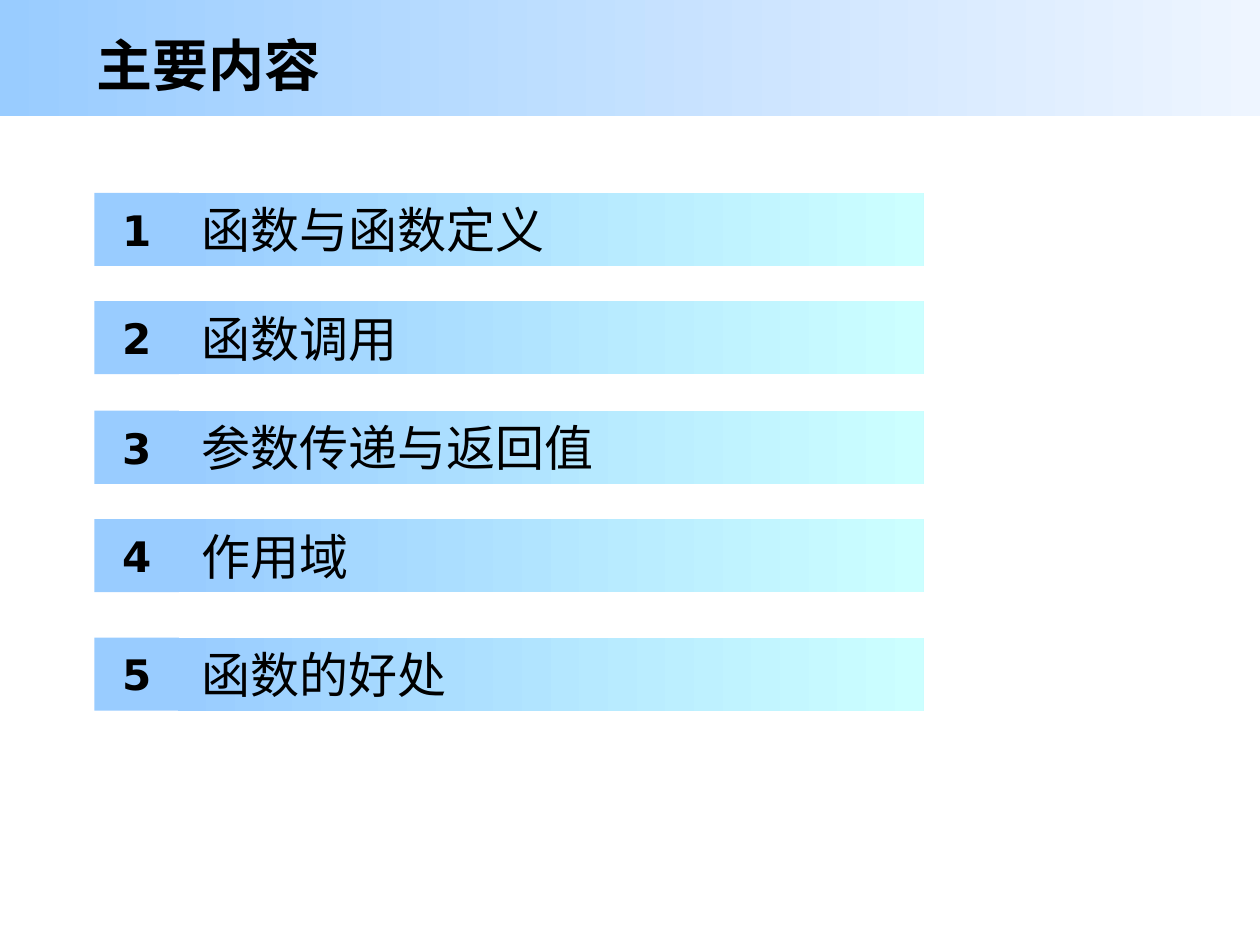
from dataclasses import dataclass

from lxml import etree
from pptx import Presentation
from pptx.dml.color import RGBColor
from pptx.enum.shapes import MSO_SHAPE
from pptx.enum.text import MSO_ANCHOR, PP_ALIGN
from pptx.oxml.ns import qn
from pptx.util import Inches, Pt

RECT = MSO_SHAPE.RECTANGLE
MIDDLE = MSO_ANCHOR.MIDDLE
LEFT, CENTER = PP_ALIGN.LEFT, PP_ALIGN.CENTER


@dataclass(frozen=True)
class Theme:
    """Colours, fonts and type sizes of the slide."""
    text: str = "000000"
    blue: str = "99CCFF"
    pale: str = "EEF5FF"
    cyan: str = "CCFFFF"
    cjk: str = "Noto Sans CJK SC"
    latin: str = "DejaVu Sans"
    title_size: int = 32
    topic_size: int = 28
    number_size: int = 24


THEME = Theme()
TOPICS = [
    (1.53, "函数与函数定义"),
    (2.39, "函数调用"),
    (3.26, "参数传递与返回值"),
    (4.12, "作用域"),
    (5.06, "函数的好处"),
]


def add_bar(slide, left, top, width, height, start, end=None):
    """Add a borderless rectangle, solid or fading from start to end."""
    sp = slide.shapes.add_shape(RECT, Inches(left), Inches(top), Inches(width), Inches(height))
    sp.shadow.inherit = False
    sp.line.fill.background()
    if end is None:
        sp.fill.solid()
        sp.fill.fore_color.rgb = RGBColor.from_string(start)
    else:
        sp.fill.gradient()
        sp.fill.gradient_angle = 0
        for stop, color in zip(sp.fill.gradient_stops, (start, end)):
            stop.color.rgb = RGBColor.from_string(color)
    return sp


def set_text(sp, text, size, font, bold=False, align=LEFT, inset=0.1):
    """Write one vertically centred line into a shape."""
    tf = sp.text_frame
    tf.text = text
    tf.word_wrap = True
    tf.vertical_anchor = MIDDLE
    tf.margin_left = Inches(inset)
    p = tf.paragraphs[0]
    p.alignment = align
    r = p.runs[0]
    r.font.size = Pt(size)
    r.font.bold = bold
    r.font.name = font
    r.font.color.rgb = RGBColor.from_string(THEME.text)
    etree.SubElement(r.font._element, qn("a:ea"), typeface=font)


def add_title(slide, text):
    """Add the header band and the slide title."""
    add_bar(slide, 0, 0, 10, 0.92, THEME.blue, THEME.pale)
    sp = slide.shapes.add_textbox(Inches(0.67), Inches(0.17), Inches(9), Inches(0.67))
    set_text(sp, text, THEME.title_size, THEME.cjk, bold=True)


def add_topic(slide, number, top, text):
    """Add one numbered row of the contents list."""
    sp = add_bar(slide, 1.41, top, 5.92, 0.58, THEME.blue, THEME.cyan)
    set_text(sp, text, THEME.topic_size, THEME.cjk, inset=0.19)
    sp = add_bar(slide, 0.75, top, 0.67, 0.58, THEME.blue)
    set_text(sp, str(number), THEME.number_size, THEME.latin, bold=True, align=CENTER)


def main():
    """Build the contents slide and save it."""
    prs = Presentation()
    prs.slide_width, prs.slide_height = Inches(10), Inches(7.5)
    slide = prs.slides.add_slide(prs.slide_layouts[6])
    add_title(slide, "主要内容")
    for number, (top, text) in enumerate(TOPICS, 1):
        add_topic(slide, number, top, text)
    prs.save("out.pptx")


if __name__ == "__main__":
    main()
